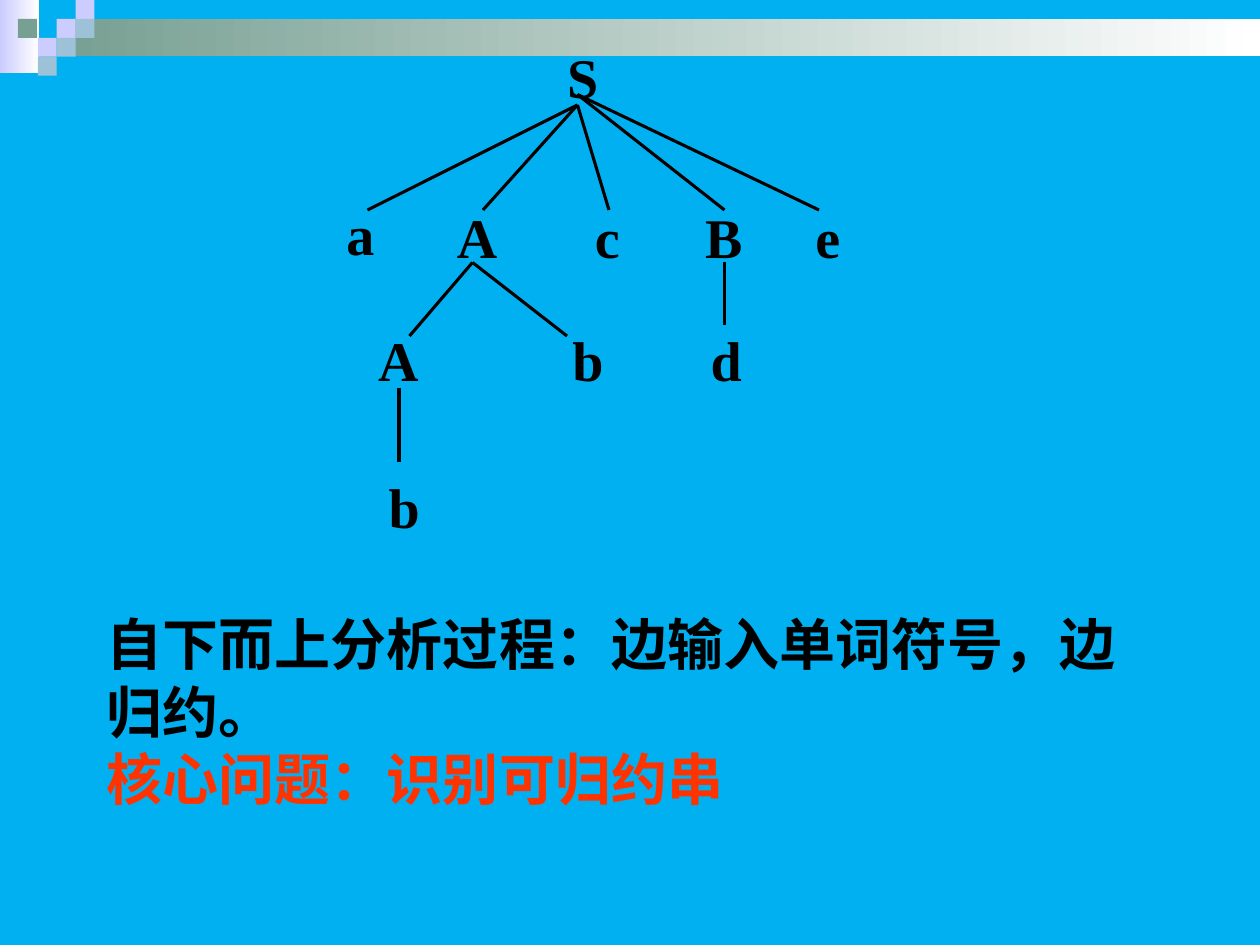
"""Build a slide showing a parse tree and the idea of bottom-up analysis."""
from typing import NamedTuple

from lxml import etree
from pptx import Presentation
from pptx.dml.color import RGBColor
from pptx.enum import shapes, text
from pptx.oxml import ns
from pptx.util import Pt

UNIT = 10.8
LILAC, SAGE, SKY = "CCCCFF", "779F92", "9DC2D7"
BLACK, WHITE, RED = "000000", "FFFFFF", "FF3300"
LATIN, HAN = "Times New Roman", "Noto Sans CJK SC"


class Box(NamedTuple):
    x: float
    y: float
    w: float
    h: float


class Tile(NamedTuple):
    col: float
    row: float
    hue: str


class Node(NamedTuple):
    name: str
    x: float
    y: float
    w: float


class Fan(NamedTuple):
    x: float
    y: float
    ends: list


BARS = [(Box(0, 0, 22.3, 41.8), LILAC), (Box(32.4, UNIT, 687.6, 21.2), SAGE)]
TILES = [
    Tile(3, 1, LILAC), Tile(4, 0, LILAC), Tile(4, 1, SKY),
    Tile(2, 2, LILAC), Tile(0.95, 1, SAGE), Tile(3, 2, SKY), Tile(2, 3, SKY),
]
NODES = [
    Node("S", 324, 24, 18),
    Node("a", 198, 114, 16), Node("A", 261, 116, 23), Node("c", 340, 116, 14),
    Node("B", 403, 116, 21.5), Node("e", 466, 116, 14),
    Node("A", 216, 186, 23), Node("b", 327, 186, 18), Node("d", 406, 186, 18),
    Node("b", 222, 270, 18),
]
FANS = [
    Fan(330, 60, [(210, 120), (276, 120), (348, 120)]),
    Fan(330, 54, [(414, 120), (468, 120)]),
    Fan(270, 150, [(234, 192), (324, 192)]),
    Fan(414, 150, [(414, 186)]),
    Fan(228, 222, [(228, 264)]),
]
NOTES = [
    ("自下而上分析过程：边输入单词符号，边归约。", BLACK),
    ("核心问题：识别可归约串", RED),
]


def tint(hue: str) -> RGBColor:
    return RGBColor.from_string(hue)


def block(slide, box: Box, hue: str, fade: str = ""):
    rect = slide.shapes.add_shape(shapes.MSO_SHAPE.RECTANGLE, *map(Pt, box))
    rect.shadow.inherit = False
    rect.line.fill.background()
    if fade:
        rect.fill.gradient()
        rect.fill.gradient_angle = 0
        for stop, tone in zip(rect.fill.gradient_stops, (hue, fade)):
            stop.color.rgb = tint(tone)
    else:
        rect.fill.solid()
        rect.fill.fore_color.rgb = tint(hue)


def style(para, face: str, hue: str):
    for run in para.runs:
        run.font.size = Pt(32)
        run.font.bold = True
        run.font.name = face
        run.font.color.rgb = tint(hue)
        east = etree.SubElement(run._r.get_or_add_rPr(), ns.qn("a:ea"))
        east.set("typeface", face)


def label(slide, node: Node):
    box = slide.shapes.add_textbox(Pt(node.x), Pt(node.y), Pt(node.w), Pt(38))
    frame = box.text_frame
    frame.margin_left = frame.margin_right = 0
    frame.margin_top = frame.margin_bottom = 0
    frame.word_wrap = False
    frame.auto_size = text.MSO_AUTO_SIZE.SHAPE_TO_FIT_TEXT
    frame.text = node.name
    para = frame.paragraphs[0]
    para.alignment = text.PP_ALIGN.JUSTIFY
    style(para, LATIN, BLACK)


def branch(slide, fan: Fan):
    for x, y in fan.ends:
        line = slide.shapes.add_connector(
            shapes.MSO_CONNECTOR.STRAIGHT, Pt(fan.x), Pt(fan.y), Pt(x), Pt(y))
        line.line.color.rgb = tint(BLACK)
        line.line.width = Pt(1.75)
        etree.SubElement(line._element.spPr, ns.qn("a:effectLst"))


def remark(slide, box: Box, notes: list):
    frame = slide.shapes.add_textbox(*map(Pt, box)).text_frame
    frame.word_wrap = True
    frame.text = "\n".join(words for words, _ in notes)
    for para, (_, hue) in zip(frame.paragraphs, notes):
        para.line_spacing = Pt(38.4)
        style(para, HAN, hue)


def main():
    deck = Presentation()
    deck.slide_width, deck.slide_height = Pt(720), Pt(540)
    slide = deck.slides.add_slide(deck.slide_layouts[6])
    slide.background.fill.solid()
    slide.background.fill.fore_color.rgb = tint("00B0F0")
    for box, hue in BARS:
        block(slide, box, hue, WHITE)
    for tile in TILES:
        block(slide, Box(tile.col * UNIT, tile.row * UNIT, UNIT, UNIT), tile.hue)
    for node in NODES:
        label(slide, node)
    for fan in FANS:
        branch(slide, fan)
    remark(slide, Box(54, 345, 612, 133), NOTES)
    deck.save("out.pptx")


if __name__ == "__main__":
    main()
